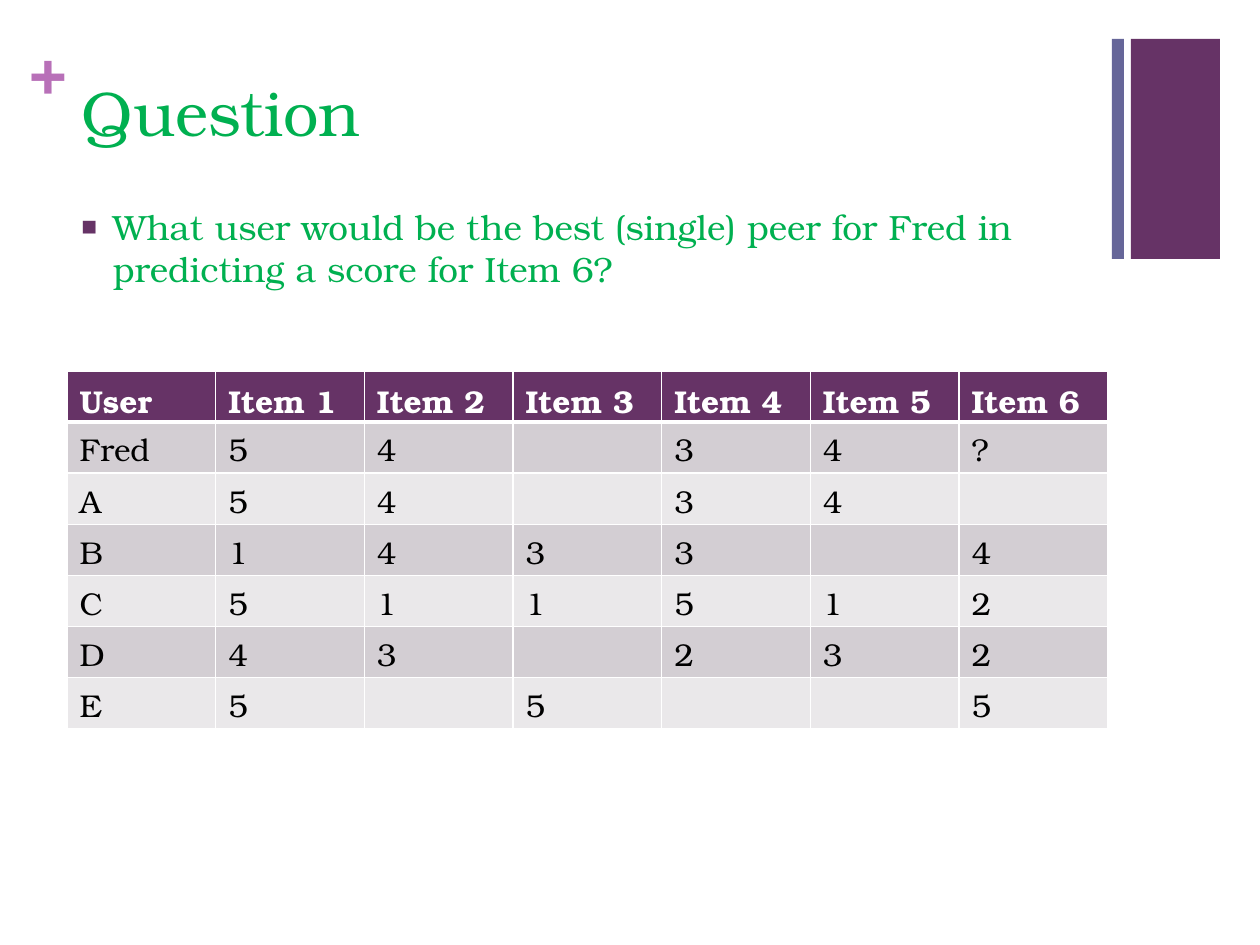
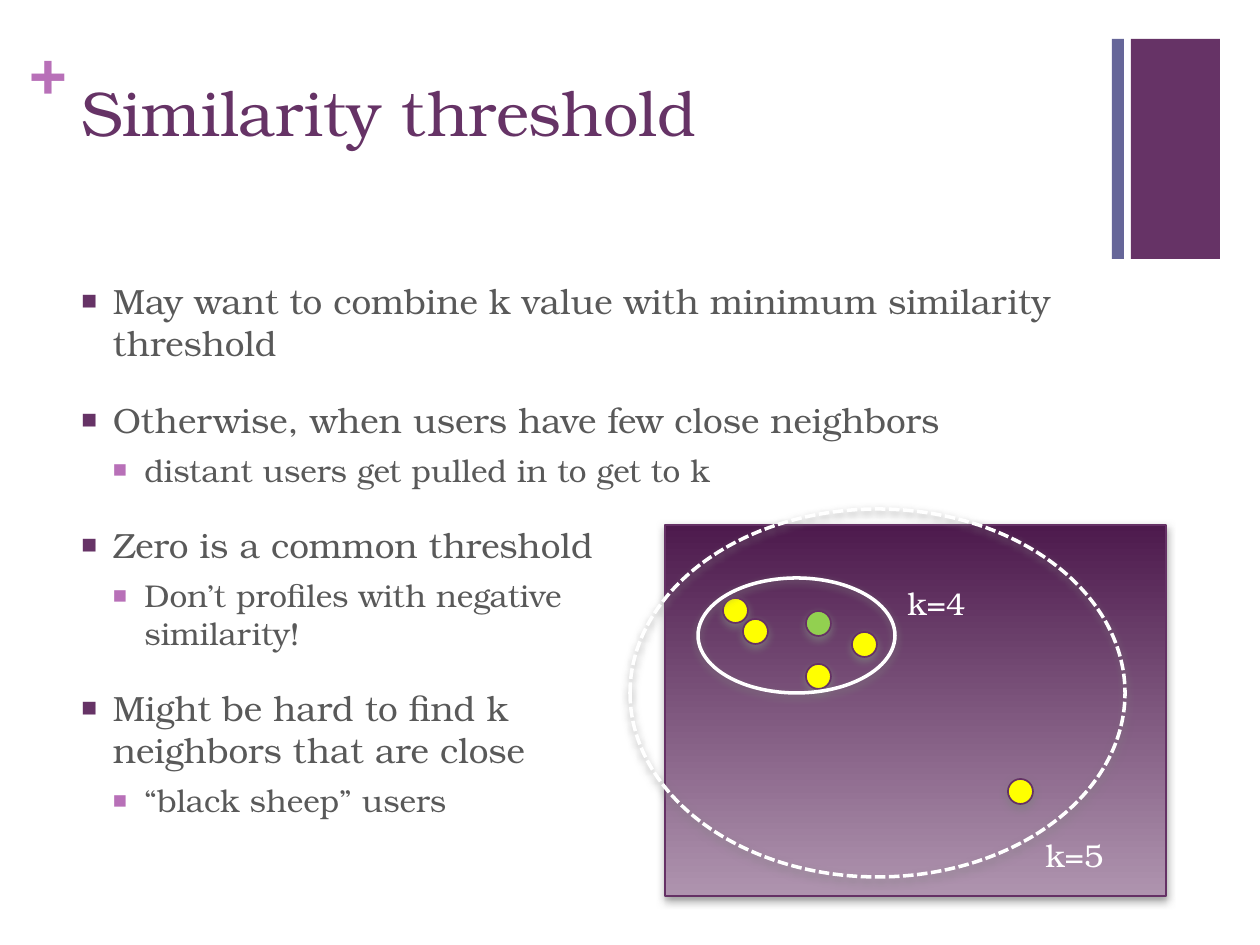
from lxml import etree
from pptx import Presentation
from pptx.dml.color import RGBColor
from pptx.enum.dml import MSO_LINE
from pptx.enum.shapes import MSO_SHAPE
from pptx.oxml.ns import qn
from pptx.util import Inches, Pt

RECT, OVAL = MSO_SHAPE.RECTANGLE, MSO_SHAPE.OVAL
DASH = MSO_LINE.SQUARE_DOT
EMU_PER_PX = 914400 / 126
FONT = "TeX Gyre Bonum"
COLORS = {
    "plum": "663366", "orchid": "B870B8", "slate": "666699", "white": "FFFFFF",
    "black": "000000", "question": "00B050", "body": "595959",
    "row_dark": "D3CED3", "row_light": "EAE8EA", "edge": "653165",
    "scene_top": "4D1A4D", "scene_bottom": "AF94AF",
    "target": "92D050", "neighbor": "FFFF00", "shadow": "808080",
}
# Bullet colour, text size, space before and left indent for each level
LEVELS = [
    {"bullet": "plum", "size": 20, "before": 20, "indent": 0.25},
    {"bullet": "orchid", "size": 18, "before": 6, "indent": 0.5},
]


def px(length):
    return round(length * EMU_PER_PX)


def rgb(name):
    return RGBColor.from_string(COLORS[name])


def add_xml(parent, tag, **attributes):
    return etree.SubElement(parent, qn(tag), attributes)


def format_text(paragraph, color, size, bold=False):
    values = {"name": FONT, "size": Pt(size), "bold": bold}
    for run in paragraph.runs:
        for attribute, value in values.items():
            setattr(run.font, attribute, value)
        run.font.color.rgb = rgb(color)


def add_text_frame(slide, box, inset=None):
    frame = slide.shapes.add_textbox(*map(px, box)).text_frame
    frame.word_wrap = True
    if inset is not None:
        for side in ("left", "top", "right", "bottom"):
            setattr(frame, f"margin_{side}", inset)
    return frame


def add_label(slide, box, text, color, size, bold=False, inset=None):
    paragraph = add_text_frame(slide, box, inset).paragraphs[0]
    paragraph.text = text
    format_text(paragraph, color, size, bold)


def add_figure(slide, kind, box, fill=None, line=None, width=1, shadow=False):
    figure = slide.shapes.add_shape(kind, *map(px, box))
    if fill:
        figure.fill.solid()
        figure.fill.fore_color.rgb = rgb(fill)
    else:
        figure.fill.background()
    if line:
        figure.line.color.rgb = rgb(line)
        figure.line.width = Pt(width)
    else:
        figure.line.fill.background()
    figure.shadow.inherit = False
    if shadow:
        effects = figure.element.spPr.find(qn("a:effectLst"))
        outer = add_xml(effects, "a:outerShdw", blurRad=str(Pt(5)), dist=str(Pt(2)),
                        dir="5400000", rotWithShape="0")
        tint = add_xml(outer, "a:srgbClr", val=COLORS["shadow"])
        add_xml(tint, "a:alpha", val="75000")
    return figure


def add_frame(slide, title, title_color):
    """Shared corner bands, plus sign and title."""
    add_figure(slide, RECT, (1131, 39, 89, 220), "plum")
    add_label(slide, (30, 31, 37, 77), "+", "orchid", 36, bold=True, inset=0)
    add_figure(slide, RECT, (1112, 39, 12, 220), "slate")
    add_label(slide, (69, 67, 1041, 154), title, title_color, 36)


def add_bullets(slide, box, items, color):
    frame = add_text_frame(slide, box)
    for index, (level, text) in enumerate(items):
        paragraph = frame.add_paragraph() if index else frame.paragraphs[0]
        style = LEVELS[level]
        paragraph.text = text
        paragraph.level = level
        paragraph.space_before = Pt(style["before"])
        format_text(paragraph, color, style["size"])
        properties = paragraph._p.get_or_add_pPr()
        properties.set("marL", str(Inches(style["indent"])))
        properties.set("indent", str(Inches(-0.25)))
        bullet_color = add_xml(properties, "a:buClr")
        add_xml(bullet_color, "a:srgbClr", val=COLORS[style["bullet"]])
        add_xml(properties, "a:buSzPct", val="75000")
        add_xml(properties, "a:buFont", typeface="Arial")
        add_xml(properties, "a:buChar", char="■")


def add_cell_borders(cell, bottom):
    properties = cell._tc.get_or_add_tcPr()
    for side, width in {"L": 1, "R": 1, "T": 1, "B": bottom}.items():
        border = add_xml(properties, f"a:ln{side}", w=str(Pt(width)))
        paint = add_xml(border, "a:solidFill")
        add_xml(paint, "a:srgbClr", val=COLORS["white"])


def add_ratings(slide, box, rows):
    ratings = slide.shapes.add_table(len(rows), len(rows[0]), *map(px, box)).table
    for r, row in enumerate(rows):
        header = r == 0
        fill = "plum" if header else ("row_dark" if r % 2 else "row_light")
        for c, text in enumerate(row):
            cell = ratings.cell(r, c)
            add_cell_borders(cell, 3 if header else 1)
            cell.fill.solid()
            cell.fill.fore_color.rgb = rgb(fill)
            cell.text = text
            format_text(cell.text_frame.paragraphs[0],
                        "white" if header else "black", 18, header)


def add_neighborhoods(slide, box):
    left, top, _, _ = box

    def inside(x, y, width, height):
        return left + x, top + y, width, height

    # Backdrop
    backdrop = add_figure(slide, RECT, box, "scene_top", "edge", shadow=True)
    backdrop.fill.gradient()
    backdrop.fill.gradient_angle = 270
    for stop, color in zip(backdrop.fill.gradient_stops, ("scene_top", "scene_bottom")):
        stop.color.rgb = rgb(color)

    # Target user, then its neighbors
    users = [(141, 86), (187, 107), (141, 139), (58, 73), (78, 94), (343, 254)]
    for index, (x, y) in enumerate(users):
        add_figure(slide, OVAL, inside(x, y, 25, 25),
                   "neighbor" if index else "target", "edge", shadow=True)

    # Reach of each k
    add_figure(slide, OVAL, inside(33, 53, 197, 115), None, "white", 2, shadow=True)
    add_label(slide, inside(230, 53, 97, 50), "k=4", "white", 18)
    reach = add_figure(slide, OVAL, inside(-35, -16, 495, 368), None, "white", 2, shadow=True)
    reach.line.dash_style = DASH
    add_label(slide, inside(368, 305, 97, 50), "k=5", "white", 18)


def build_question(slide):
    add_frame(slide, "Question", "question")
    add_ratings(slide, (67, 371, 1041, 358), [
        ["User"] + [f"Item {n}" for n in range(1, 7)],
        ["Fred", "5", "4", "", "3", "4", "?"],
        ["A", "5", "4", "", "3", "4", ""],
        ["B", "1", "4", "3", "3", "", "4"],
        ["C", "5", "1", "1", "5", "1", "2"],
        ["D", "4", "3", "", "2", "3", "2"],
        ["E", "5", "", "5", "", "", "5"],
    ])
    add_bullets(slide, (69, 199, 1041, 154), [
        (0, "What user would be the best (single) peer for Fred in "
            "predicting a score for Item 6?"),
    ], "question")


def build_threshold(slide):
    add_frame(slide, "Similarity threshold", "plum")
    add_bullets(slide, (69, 273, 1041, 571), [
        (0, "May want to combine k value with minimum similarity threshold"),
        (0, "Otherwise, when users have few close neighbors"),
        (1, "distant users get pulled in to get to k"),
        (0, "Zero is a common threshold"),
        (1, "Don’t profiles with negative\vsimilarity!"),
        (0, "Might be hard to find k \vneighbors that are close"),
        (1, "“black sheep” users"),
    ], "body")
    add_neighborhoods(slide, (665, 525, 501, 371))


deck = Presentation()
deck.slide_width, deck.slide_height = px(1260), px(945)
for build in (build_question, build_threshold):
    build(deck.slides.add_slide(deck.slide_layouts[6]))
deck.save("out.pptx")
